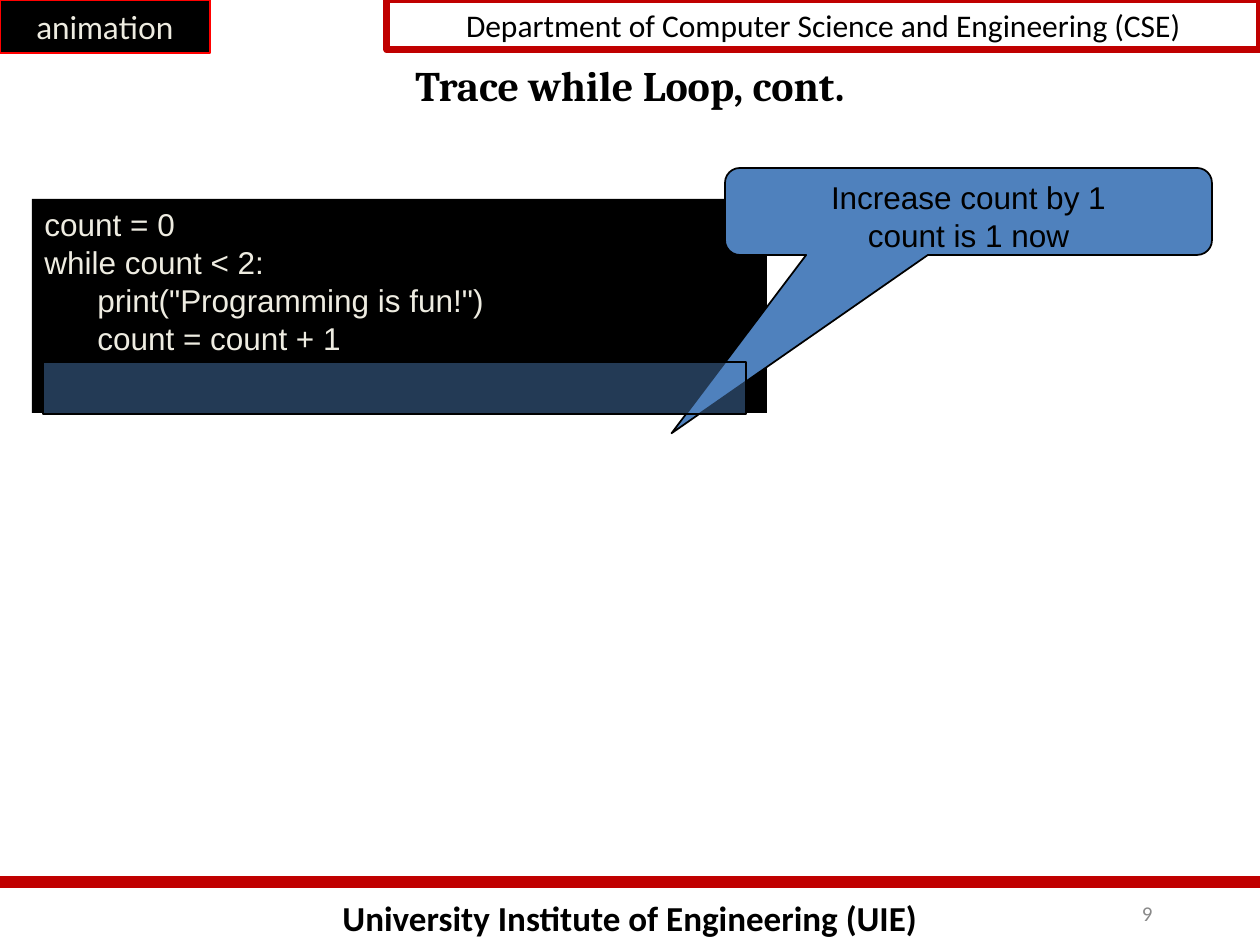
"""Build the slide that traces a while loop."""
from lxml import etree
from pptx import Presentation
from pptx.dml.color import RGBColor
from pptx.enum.shapes import MSO_CONNECTOR, MSO_SHAPE
from pptx.enum.text import MSO_ANCHOR, PP_ALIGN
from pptx.oxml.ns import qn
from pptx.util import Emu, Pt

PX_PER_INCH = 126
EMU_PER_INCH = 914400
STRAIGHT = MSO_CONNECTOR.STRAIGHT
RECTANGLE = MSO_SHAPE.RECTANGLE
CALLOUT = MSO_SHAPE.ROUNDED_RECTANGULAR_CALLOUT
LEFT, CENTER, RIGHT = PP_ALIGN.LEFT, PP_ALIGN.CENTER, PP_ALIGN.RIGHT
TOP, MIDDLE = MSO_ANCHOR.TOP, MSO_ANCHOR.MIDDLE
CODE_INDENT = 53

COLORS = {
    "black": "000000",
    "cream": "EEECE1",
    "blue": "4F81BD",
    "crimson": "C00000",
    "red": "FF0000",
    "gray": "898989",
}


def px(length):
    """Turn pixels into EMU."""
    return Emu(round(length * EMU_PER_INCH / PX_PER_INCH))


def rgb(name):
    """Look up a named color."""
    return RGBColor.from_string(COLORS[name])


def write(box, lines, color="black", align=CENTER, anchor=TOP, wrap=True, **font):
    """Write (text, indent) lines into a box, one paragraph each."""
    frame = box.text_frame
    frame.word_wrap = wrap
    frame.vertical_anchor = anchor
    for number, (text, indent) in enumerate(lines):
        para = frame.add_paragraph() if number else frame.paragraphs[0]
        para.alignment = align
        if indent:
            para._p.get_or_add_pPr().set("marL", str(px(indent)))
        span = para.add_run()
        span.text = text
        span.font.color.rgb = rgb(color)
        for name, value in font.items():
            setattr(span.font, name, value)


def add_label(page, area, text, **style):
    """Add a text box with one line."""
    box = page.shapes.add_textbox(*map(px, area))
    write(box, [(text, 0)], **style)


def add_box(page, area, kind=RECTANGLE, fill=None, line=None, width=1, alpha=None):
    """Add a preset shape with optional fill, outline and opacity percent."""
    box = page.shapes.add_shape(kind, *map(px, area))
    box.shadow.inherit = False
    if fill:
        box.fill.solid()
        box.fill.fore_color.rgb = rgb(fill)
    else:
        box.fill.background()
    if alpha:
        color = box.fill._xPr.find(qn("a:solidFill"))[0]
        etree.SubElement(color, qn("a:alpha"), val=str(alpha * 1000))
    if line:
        box.line.color.rgb = rgb(line)
        box.line.width = Pt(width)
    else:
        box.line.fill.background()
    return box


def add_rule(page, ends, color, width):
    """Add a straight line without a shadow."""
    rule = page.shapes.add_connector(STRAIGHT, *map(px, ends))
    rule.line.color.rgb = rgb(color)
    rule.line.width = Pt(width)
    etree.SubElement(rule._element.spPr, qn("a:effectLst"))


def add_frame(page):
    """Add the header, footer and page number."""
    add_label(page, (0, 890, 1260, 55), "University Institute of Engineering (UIE)",
              name="Calibri", size=Pt(20), bold=True)
    add_rule(page, (0, 882, 1260, 882), "crimson", 7)
    department = add_box(page, (387, 0, 873, 50), line="crimson", width=4)
    write(department, [("Department of Computer Science and Engineering (CSE)", 0)],
          name="Calibri", size=Pt(18))
    add_label(page, (903, 882, 262, 63), "9", color="gray", align=RIGHT,
              anchor=MIDDLE, name="Calibri", size=Pt(12))


def add_trace(page):
    """Add the code, the callout and the highlight bar."""
    code = add_box(page, (32, 199, 735, 214), fill="black")
    write(code, [
        ("count = 0", 0),
        ("while count < 2:", 0),
        ('print("Programming is fun!")', CODE_INDENT),
        ("count = count + 1", CODE_INDENT),
    ], color="cream", align=LEFT, name="Arial", size=Pt(18))
    callout = add_box(page, (725, 168, 487, 87), CALLOUT, fill="blue", line="black")
    for number, value in enumerate((-0.61, 2.55, 0.17)):
        callout.adjustments[number] = value
    write(callout, [("Increase count by 1", 0), ("count is 1 now", 0)],
          name="Arial", size=Pt(18))
    add_box(page, (43, 362, 703, 52), fill="blue", line="black", alpha=45)


def main():
    """Build and save the deck."""
    deck = Presentation()
    deck.slide_width, deck.slide_height = px(1260), px(945)
    page = deck.slides.add_slide(deck.slide_layouts[6])
    add_frame(page)
    add_label(page, (95, 32, 1070, 105), "Trace while Loop, cont.",
              anchor=MIDDLE, name="Cambria", size=Pt(24), bold=True)
    add_trace(page)
    badge = add_box(page, (0, 0, 210, 53), fill="black", line="red")
    write(badge, [("animation", 0)], color="cream", anchor=MIDDLE, wrap=False,
          name="Lato", size=Pt(18))
    deck.save("out.pptx")


if __name__ == "__main__":
    main()
